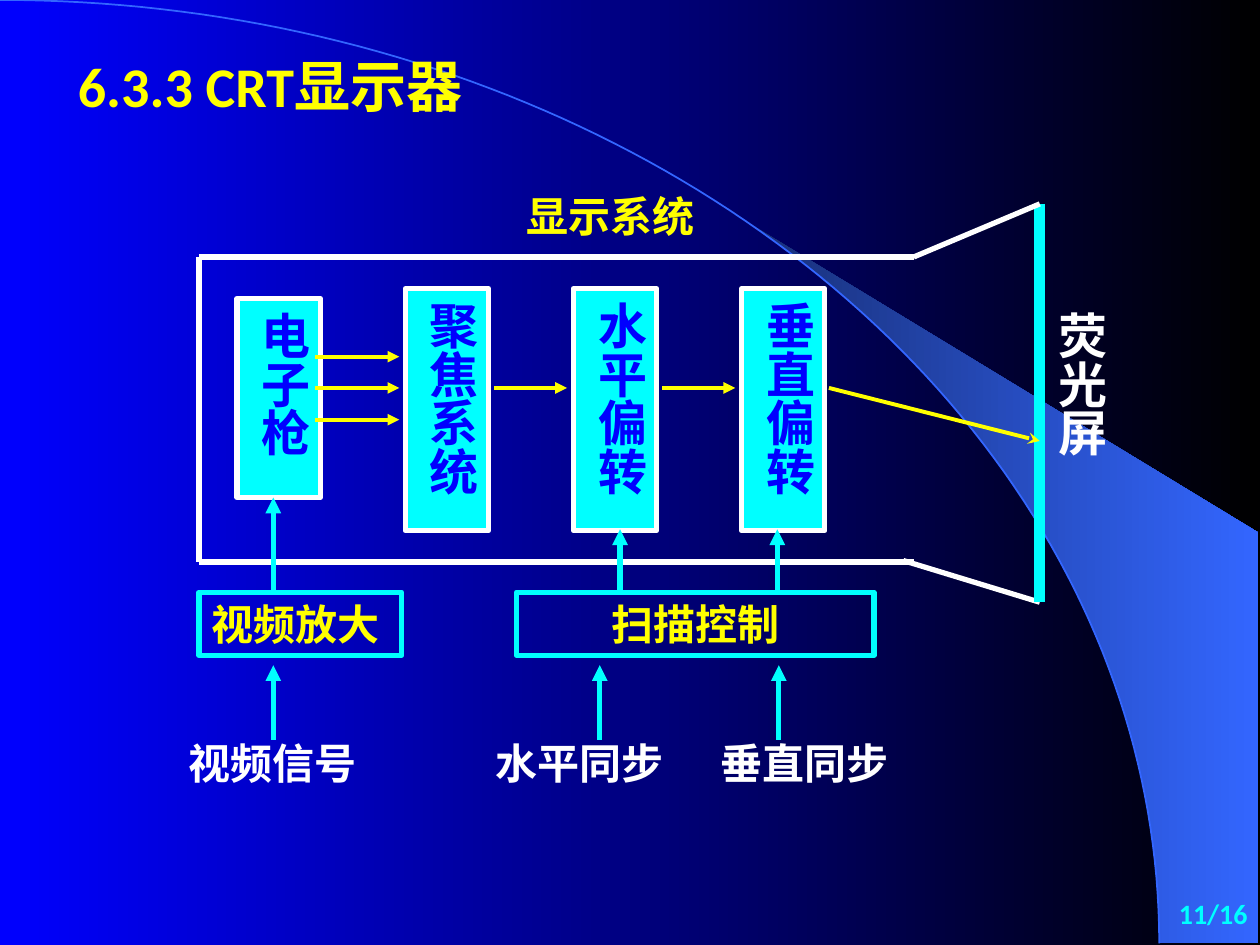
from dataclasses import dataclass
from math import cos, radians, sin

from lxml.etree import SubElement
from pptx import Presentation
from pptx.dml.color import RGBColor
from pptx.enum.shapes import MSO_CONNECTOR as Connector, MSO_SHAPE as Shape
from pptx.enum.text import MSO_ANCHOR as Anchor, MSO_AUTO_SIZE as AutoSize, PP_ALIGN as Align
from pptx.oxml.ns import qn
from pptx.util import Cm, Pt


@dataclass(frozen=True)
class Theme:
    blue: str = "0000FF"
    black: str = "000000"
    white: str = "FFFFFF"
    yellow: str = "FFFF00"
    cyan: str = "00FFFF"
    glow: str = "3366FF"
    dusk: str = "182F76"
    heading: str = "Calibri"
    body: str = "Times New Roman"
    title: int = 32
    stage: int = 28
    label: int = 24
    page: int = 16
    hairline: float = 1
    beam: float = 2.25
    outline: float = 3
    screen: float = 6


class TubeSlide:
    """Hold the theme and the current slide, and draw each kind of element on it."""

    def __init__(self, slide, theme):
        self.slide = slide
        self.theme = theme

    def gradient(self, fill, start, end):
        fill.gradient()
        fill.gradient_angle = 0
        for stop, color in zip(fill.gradient_stops, (start, end)):
            stop.color.rgb = RGBColor.from_string(color)

    def outline(self, points, closed):
        pen = self.slide.shapes.build_freeform(
            Cm(points[0][0]), Cm(points[0][1]), scale=1.0)
        pen.add_line_segments([(Cm(x), Cm(y)) for x, y in points[1:]], close=closed)
        shape = pen.convert_to_shape()
        shape.shadow.inherit = False
        return shape

    def backdrop(self):
        theme = self.theme
        self.gradient(self.slide.background.fill, theme.blue, theme.black)

        def arc(first, last, step):
            return [(23.37 * sin(radians(a)), 19.02 * (1 - cos(radians(a))))
                    for a in range(first, last + 1, step)]

        beam = self.outline([(25.37, 19.02), (25.37, 10.74)] + arc(40, 90, 2), True)
        self.gradient(beam.fill, theme.dusk, theme.glow)
        beam.line.fill.background()
        rim = self.outline(arc(0, 90, 1), False)
        rim.fill.background()
        rim.line.color.rgb = RGBColor.from_string(theme.glow)
        rim.line.width = Pt(theme.hairline)

    def set_text(self, shape, text, size, color, align, font=None, vertical=False,
                 anchor=Anchor.TOP):
        frame = shape.text_frame
        frame.word_wrap = True
        frame.auto_size = AutoSize.NONE
        frame.vertical_anchor = anchor
        across, down = (0.13, 0.25) if vertical else (0.25, 0.13)
        frame.margin_left = frame.margin_right = Cm(across)
        frame.margin_top = frame.margin_bottom = Cm(down)
        if vertical:
            frame._txBody.bodyPr.set("vert", "eaVert")
        paragraph = frame.paragraphs[0]
        paragraph.alignment = align
        run = paragraph.add_run()
        run.text = text
        run.font.name = font or self.theme.body
        run.font.size = Pt(size)
        run.font.bold = True
        run.font.color.rgb = RGBColor.from_string(color)

    def heading(self, text, left, top, width, height):
        title = self.slide.shapes.title
        title.left, title.top, title.width, title.height = map(Cm, (left, top, width, height))
        self.slide.shapes._spTree.append(title._element)
        self.set_text(title, text, self.theme.title, self.theme.yellow, Align.LEFT,
                      self.theme.heading)

    def label(self, text, left, top, width, height, color, size=None,
              align=Align.CENTER, **style):
        caption = self.slide.shapes.add_textbox(*map(Cm, (left, top, width, height)))
        self.set_text(caption, text, size or self.theme.label, color, align, **style)

    def box(self, text, left, top, width, height, size, color, border, fill=None,
            align=Align.CENTER, **style):
        block = self.slide.shapes.add_shape(
            Shape.RECTANGLE, *map(Cm, (left, top, width, height)))
        block.shadow.inherit = False
        if fill:
            block.fill.solid()
            block.fill.fore_color.rgb = RGBColor.from_string(fill)
        else:
            block.fill.background()
        block.line.color.rgb = RGBColor.from_string(border)
        block.line.width = Pt(self.theme.outline)
        self.set_text(block, text, size, color, align, **style)

    def line(self, start, end, color, width, arrow=None):
        link = self.slide.shapes.add_connector(
            Connector.STRAIGHT, *map(Cm, (*start, *end)))
        link.line.color.rgb = RGBColor.from_string(color)
        link.line.width = Pt(width)
        if arrow:
            SubElement(link.line._get_or_add_ln(), qn("a:tailEnd"), type=arrow)
        SubElement(link._element.spPr, qn("a:effectLst"))


def main():
    theme = Theme()
    deck = Presentation()
    deck.slide_width, deck.slide_height = Cm(25.4), Cm(19.05)
    crt = TubeSlide(deck.slides.add_slide(deck.slide_layouts[5]), theme)

    crt.backdrop()
    crt.heading("6.3.3 CRT显示器", 1.32, 0.91, 9.98, 1.63)

    wall_left, wall_right, wall_top, wall_bottom = 4.01, 18.42, 5.18, 11.33
    screen_x, screen_top, screen_bottom = 20.96, 4.11, 12.14
    crt.line((18.21, 11.3), (screen_x, screen_bottom), theme.white, theme.outline)
    crt.line((screen_x, screen_top), (screen_x, screen_bottom), theme.cyan, theme.screen)
    crt.label("荧光屏", 20.85, 6.02, 1.68, 4.88, theme.white, theme.stage, vertical=True)

    stage_step = 3.39
    stages = [("电子枪", 6.02, 4.01), ("聚焦系统", 5.82, 4.88),
              ("水平偏转", 5.82, 4.88), ("垂直偏转", 5.82, 4.88)]
    for i, (stage, top, height) in enumerate(stages):
        crt.box(stage, 4.78 + i * stage_step, top, 1.68, height, theme.stage,
                theme.blue, theme.white, theme.cyan, vertical=True)

    for start, end in [((wall_left, wall_top), (wall_right, wall_top)),
                       ((wall_left, wall_bottom), (wall_right, wall_bottom)),
                       ((wall_left, wall_top), (wall_left, wall_bottom)),
                       ((wall_right, wall_top), (screen_x, screen_top))]:
        crt.line(start, end, theme.white, theme.outline)
    crt.label("显示系统", 10.36, 3.71, 5.92, 1.27, theme.yellow, align=Align.LEFT)

    for control, left, width, align in [("视频放大", 4.01, 4.09, Align.LEFT),
                                        ("扫描控制", 10.41, 7.21, Align.CENTER)]:
        crt.box(control, left, 11.94, width, 1.27, theme.label, theme.yellow,
                theme.cyan, align=align)

    axis = 7.82
    for y in (7.19, axis, 8.46):
        crt.line((6.35, y), (8.05, y), theme.yellow, theme.beam, "triangle")
    for i in range(2):
        x = 9.96 + i * stage_step
        crt.line((x, axis), (x + 1.47, axis), theme.yellow, theme.beam, "triangle")
    crt.line((16.71, axis), (screen_x, 8.89), theme.yellow, theme.beam, "stealth")

    for x, tip in [(5.51, 10.03), (12.5, 10.67), (15.67, 10.67)]:
        crt.line((x, 11.94), (x, tip), theme.cyan, theme.outline, "triangle")
    for signal, x, left, width in [("视频信号", 5.51, 2.95, 5.08),
                                   ("水平同步", 12.09, 9.63, 4.09),
                                   ("垂直同步", 15.7, 14.02, 4.39)]:
        crt.line((x, 14.91), (x, 13.41), theme.cyan, theme.outline, "triangle")
        crt.label(signal, left, 14.73, width, 1.27, theme.white)

    crt.label("11/16", 20.12, 17.78, 5.28, 1.27, theme.cyan, theme.page, Align.RIGHT,
              font=theme.heading, anchor=Anchor.MIDDLE)
    deck.save("out.pptx")


if __name__ == "__main__":
    main()
